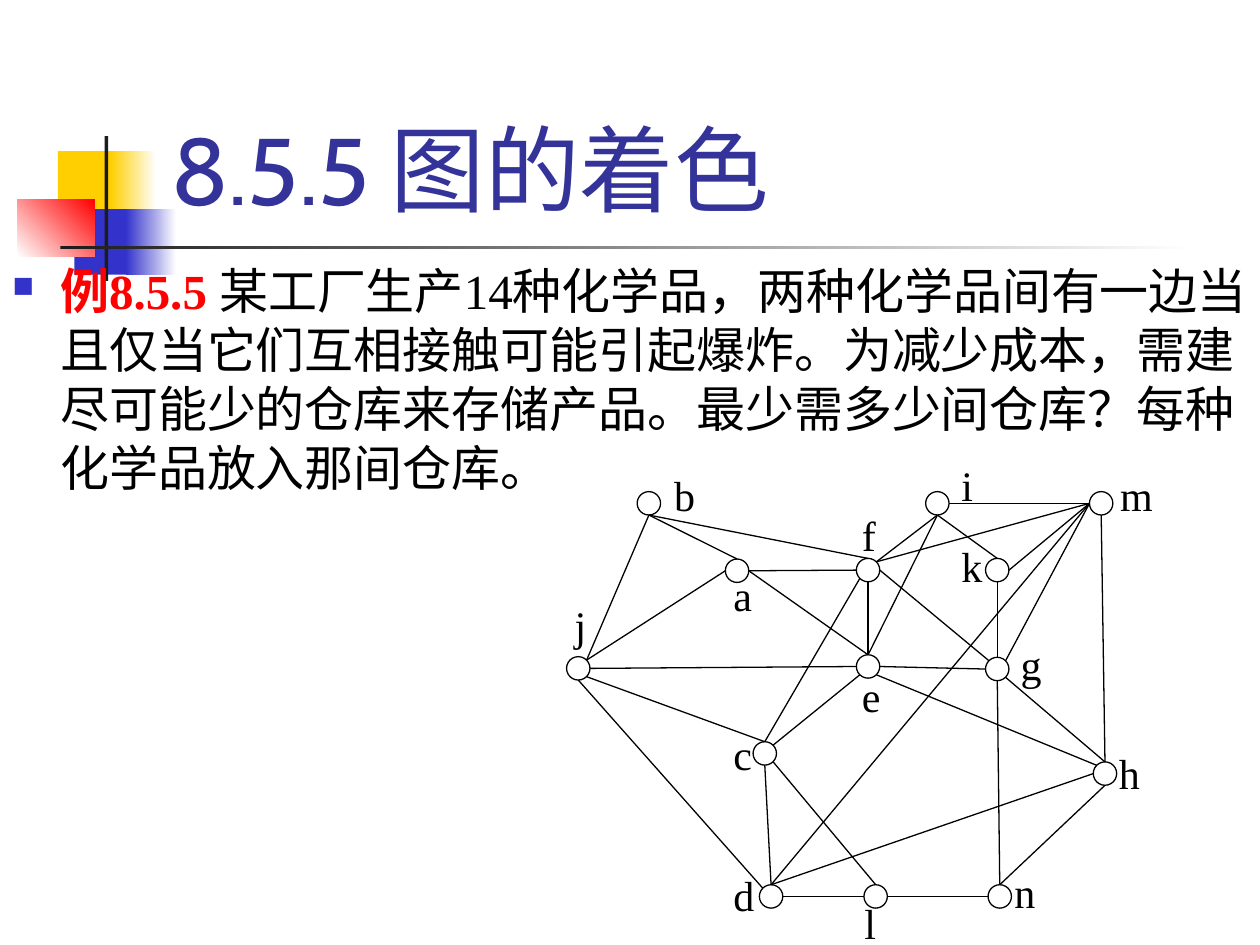
"""Build the slide on graph colouring with its chemical storage graph."""
from math import cos, radians, sin

from lxml.etree import SubElement
from pptx import Presentation
from pptx.dml.color import RGBColor
from pptx.enum.shapes import MSO_CONNECTOR as CONNECTOR, MSO_SHAPE as SHAPE
from pptx.enum.text import MSO_ANCHOR as ANCHOR, PP_ALIGN as ALIGN
from pptx.oxml.ns import qn
from pptx.util import Inches, Pt

COLORS = {
    "yellow": "FFCF01", "blue": "3333CC", "red": "FF0000", "dark": "1C1C1C",
    "title": "333399", "black": "000000", "white": "FFFFFF",
}
COLORS = {name: RGBColor.from_string(value) for name, value in COLORS.items()}

presentation = Presentation()
presentation.slide_width, presentation.slide_height = Inches(10), Inches(7.5)
COLUMN = presentation.slide_width // 100
ROW = presentation.slide_height // 75
slide = presentation.slides.add_slide(presentation.slide_layouts[6])
shapes = slide.shapes


def grid(left, top, width, height):
    return [round(left * COLUMN), round(top * ROW), round(width * COLUMN), round(height * ROW)]


def add_filled(kind, place, color, outline=None):
    shape = shapes.add_shape(kind, *grid(*place))
    shape.shadow.inherit = False
    shape.fill.solid()
    shape.fill.fore_color.rgb = COLORS[color]
    if outline:
        shape.line.color.rgb = COLORS[outline]
        shape.line.width = Pt(0.75)
    else:
        shape.line.fill.background()
    return shape


decorations = [
    ((4.6, 12, 4.8, 5.2), "yellow", None, 0),
    ((8.8, 12, 3.6, 5.2), "yellow", "white", 0),
    ((5.9, 16.6, 4.6, 5.2), "blue", None, 0),
    ((10, 16.6, 4, 5.2), "blue", "white", 0),
    ((1.4, 15.8, 6.1, 4.6), "white", "red", 45),
    ((8.3, 10.8, 0.3, 11.5), "dark", None, 0),
    ((4.8, 19.5, 90, 0.3), "dark", "white", 0),
]
for place, start, end, angle in decorations:
    shape = add_filled(SHAPE.RECTANGLE, place, start)
    if end:
        shape.fill.gradient()
        shape.fill.gradient_angle = angle
        for stop, color in zip(shape.fill.gradient_stops, (start, end)):
            stop.color.rgb = COLORS[color]

title = shapes.add_textbox(*grid(12.6, 2.3, 85.2, 16)).text_frame
title.word_wrap = True
title.vertical_anchor = ANCHOR.BOTTOM
paragraph = title.paragraphs[0]
paragraph.text = "8.5.5 图的着色"
paragraph.font.name = "Cabin"
paragraph.font.size = Pt(54)
paragraph.font.color.rgb = COLORS["title"]

body = shapes.add_textbox(*grid(0, 20.2, 100, 54.8)).text_frame
body.word_wrap = True
paragraph = body.paragraphs[0]
properties = paragraph._p.get_or_add_pPr()
properties.set("marL", str(Inches(0.38)))
properties.set("indent", str(-Inches(0.38)))
bullet_color = SubElement(properties, qn("a:buClr"))
SubElement(bullet_color, qn("a:srgbClr"), val=str(COLORS["blue"]))
SubElement(properties, qn("a:buSzPct"), val="60000")
SubElement(properties, qn("a:buChar"), char="■")
paragraph.font.name = "Times New Roman"
paragraph.font.size = Pt(28)
example = (
    "某工厂生产14种化学品，两种化学品间有一边当且仅当它们互相接触可能引起爆炸。"
    "为减少成本，需建尽可能少的仓库来存储产品。最少需多少间仓库？每种化学品放入那间仓库。"
)
for text, color, bold in (("例8.5.5 ", "red", True), (example, "black", False)):
    run = paragraph.add_run()
    run.text = text
    run.font.bold = bold
    run.font.color.rgb = COLORS[color]

labels = {
    "d": (56.8, 68.3), "l": (67.2, 70.5), "n": (79.1, 68.1), "c": (56.8, 57.1),
    "h": (87.4, 58.6), "g": (79.6, 50), "m": (87.5, 36.6), "k": (74.9, 42.2),
    "a": (56.8, 44.5), "f": (67, 39.7), "e": (67, 52.5), "i": (74.9, 35.8),
    "j": (44.2, 46.9), "b": (52.1, 36.6),
}
for name, (left, top) in labels.items():
    shape = add_filled(SHAPE.RECTANGLE, (left, top, 7.4, 8), "white", "white")
    frame = shape.text_frame
    frame.margin_left = frame.margin_right = Inches(0.14)
    frame.margin_top = frame.margin_bottom = Inches(0.07)
    frame.vertical_anchor = ANCHOR.TOP
    paragraph = frame.paragraphs[0]
    paragraph.text = name
    paragraph.alignment = ALIGN.LEFT
    paragraph.font.name = "Times New Roman"
    paragraph.font.size = Pt(24)
    paragraph.font.color.rgb = COLORS["black"]

RADIUS = 0.93
nodes = {
    "a": (58.5, 45.3), "k": (79.15, 45.25), "b": (51.5, 39.95), "j": (45.9, 53.05),
    "m": (87.4, 39.95), "i": (74.4, 39.95), "g": (79.15, 53.1), "e": (68.9, 52.9),
    "c": (60.7, 59.8), "h": (87.7, 61.4), "d": (61.2, 71.15), "l": (69.5, 71.15),
    "n": (79.35, 71.15), "f": (68.9, 45.25),
}
for x, y in nodes.values():
    place = (x - RADIUS, y - RADIUS, 2 * RADIUS, 2 * RADIUS)
    add_filled(SHAPE.OVAL, place, "white", "black")

compass = {name: 45 * step for step, name in enumerate("E SE S SW W NW N NE".split())}
edges = """
a E f W, a W j NE, b S j NE, b S f N, b S a N, i S f NE, i S k N, i S e N, a E e N,
f S e N, k S g N, e E g W, j E e W, f E g NW, i E m W, f NE m W, m W k E, m W g NE,
m W d N, m S h N, e SE h NW, g SE h N, h S n N, h W d N, f SW c N, j SE c N, c S d N,
j S d NW, e SW c NE, c SE l N, d E l W, l E n W, g S n N
"""
for edge in edges.split(","):
    start, start_side, end, end_side = edge.split()
    ends = []
    for name, side in ((start, start_side), (end, end_side)):
        angle = radians(compass[side])
        x, y = nodes[name]
        ends += [round((x + RADIUS * cos(angle)) * COLUMN), round((y + RADIUS * sin(angle)) * ROW)]
    connector = shapes.add_connector(CONNECTOR.STRAIGHT, *ends)
    connector.line.color.rgb = COLORS["black"]
    connector.line.width = Pt(0.75)
    SubElement(connector._element.spPr, qn("a:effectLst"))

presentation.save("out.pptx")
